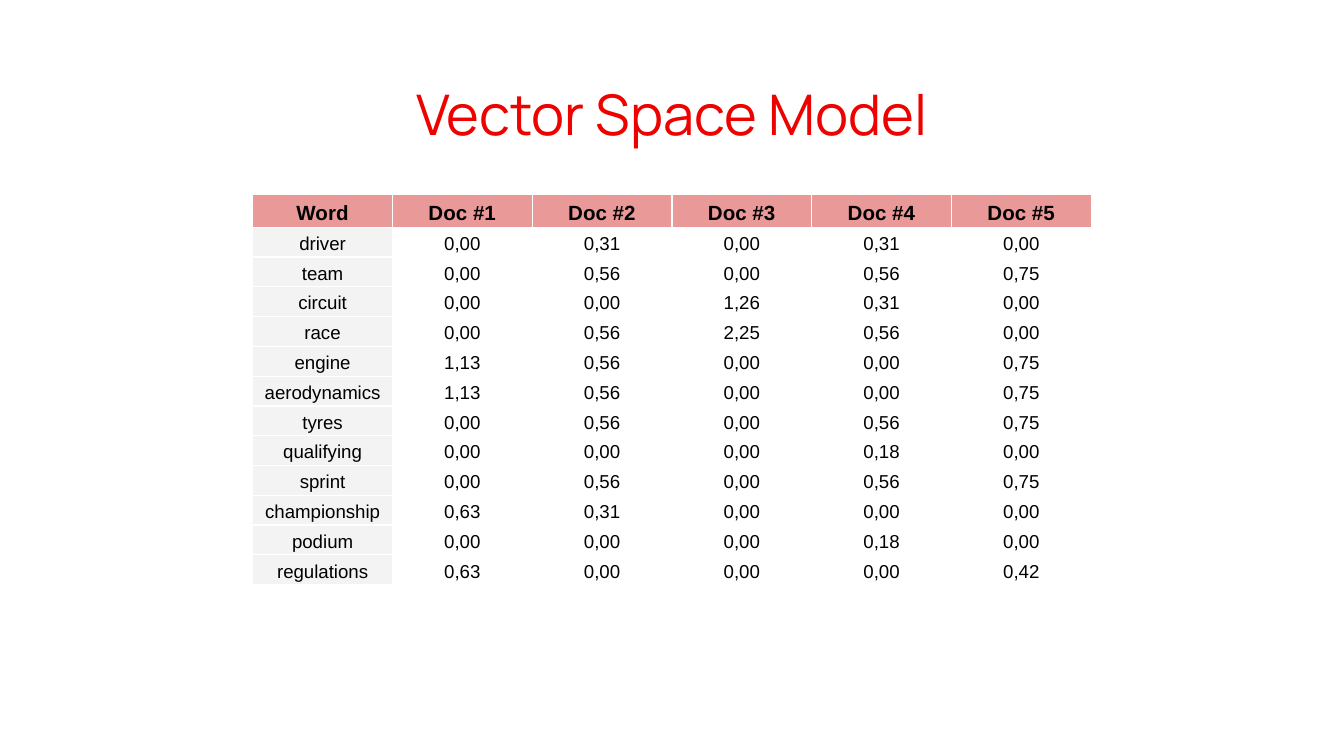
"""Build a slide with a table of word weights per document."""

from dataclasses import dataclass

from lxml.etree import SubElement
from pptx import Presentation
from pptx.dml.color import RGBColor
from pptx.enum.text import MSO_ANCHOR, PP_ALIGN
from pptx.oxml.ns import qn
from pptx.slide import Slide
from pptx.table import _Cell
from pptx.text.text import TextFrame
from pptx.util import Inches, Pt


@dataclass(frozen=True)
class Theme:
    title_font: str = "Manrope"
    table_font: str = "Arial"
    title_size: float = 30
    header_size: float = 11
    body_size: float = 10
    title_color: str = "EE0200"
    text_color: str = "000000"
    header_fill: str = "EA9999"
    word_fill: str = "F3F3F3"
    border_color: str = "FFFFFF"
    border_width: float = 0.75


@dataclass(frozen=True)
class WordWeights:
    word: str
    weights: str


THEME = Theme()
HEADERS = ["Word"] + [f"Doc #{number}" for number in range(1, 6)]
WORDS = [
    WordWeights("driver", "0,00 0,31 0,00 0,31 0,00"),
    WordWeights("team", "0,00 0,56 0,00 0,56 0,75"),
    WordWeights("circuit", "0,00 0,00 1,26 0,31 0,00"),
    WordWeights("race", "0,00 0,56 2,25 0,56 0,00"),
    WordWeights("engine", "1,13 0,56 0,00 0,00 0,75"),
    WordWeights("aerodynamics", "1,13 0,56 0,00 0,00 0,75"),
    WordWeights("tyres", "0,00 0,56 0,00 0,56 0,75"),
    WordWeights("qualifying", "0,00 0,00 0,00 0,18 0,00"),
    WordWeights("sprint", "0,00 0,56 0,00 0,56 0,75"),
    WordWeights("championship", "0,63 0,31 0,00 0,00 0,00"),
    WordWeights("podium", "0,00 0,00 0,00 0,18 0,00"),
    WordWeights("regulations", "0,63 0,00 0,00 0,00 0,42"),
]


def write_text(frame: TextFrame, text: str, *, font: str, size: float, color: str,
               bold: bool = False, line_spacing: float = 1.0) -> None:
    paragraph = frame.paragraphs[0]
    paragraph.alignment = PP_ALIGN.CENTER
    paragraph.line_spacing = line_spacing
    run = paragraph.add_run()
    run.text = text
    run.font.name = font
    run.font.size = Pt(size)
    run.font.bold = bold
    run.font.color.rgb = RGBColor.from_string(color)


def add_title(slide: Slide, text: str) -> None:
    shape = slide.shapes.add_textbox(Inches(0.34), Inches(0.49), Inches(9.32), Inches(0.63))
    frame = shape.text_frame
    frame.word_wrap = True
    frame.vertical_anchor = MSO_ANCHOR.TOP
    frame.margin_left = frame.margin_right = Inches(0.1)
    frame.margin_top = frame.margin_bottom = Inches(0.1)
    write_text(frame, text, font=THEME.title_font, size=THEME.title_size,
               color=THEME.title_color)


def set_borders(cell: _Cell) -> None:
    properties = cell._tc.get_or_add_tcPr()
    for position, side in enumerate(("lnL", "lnR", "lnT", "lnB")):
        line = SubElement(properties, qn(f"a:{side}"), w=str(Pt(THEME.border_width)))
        fill = SubElement(line, qn("a:solidFill"))
        SubElement(fill, qn("a:srgbClr"), val=THEME.border_color)
        properties.insert(position, line)


def format_cell(cell: _Cell, text: str, *, header: bool, word: bool) -> None:
    cell.margin_left = cell.margin_right = Inches(0.03)
    cell.margin_top, cell.margin_bottom = Inches(0.01), Inches(0.02)
    cell.vertical_anchor = MSO_ANCHOR.BOTTOM
    if header or word:
        cell.fill.solid()
        color = THEME.header_fill if header else THEME.word_fill
        cell.fill.fore_color.rgb = RGBColor.from_string(color)
    else:
        cell.fill.background()
    set_borders(cell)
    write_text(cell.text_frame, text, font=THEME.table_font,
               size=THEME.header_size if header else THEME.body_size,
               color=THEME.text_color, bold=header, line_spacing=1.15)


def add_weight_table(slide: Slide) -> None:
    rows = [HEADERS] + [[entry.word, *entry.weights.split()] for entry in WORDS]
    column_width, header_height, row_height = Inches(1.04), Inches(0.23), Inches(0.22)
    table = slide.shapes.add_table(
        len(rows), len(HEADERS), Inches(1.88), Inches(1.45),
        column_width * len(HEADERS), header_height + row_height * len(WORDS)).table
    table.horz_banding = False
    for column in table.columns:
        column.width = column_width
    for row_index, values in enumerate(rows):
        table.rows[row_index].height = row_height if row_index else header_height
        for column_index, value in enumerate(values):
            format_cell(table.cell(row_index, column_index), value,
                        header=row_index == 0, word=column_index == 0)


def main() -> None:
    presentation = Presentation()
    presentation.slide_width = Inches(10)
    presentation.slide_height = Inches(10) * 9 // 16
    slide = presentation.slides.add_slide(presentation.slide_layouts[6])
    add_title(slide, "Vector Space Model")
    add_weight_table(slide)
    presentation.save("out.pptx")


if __name__ == "__main__":
    main()
